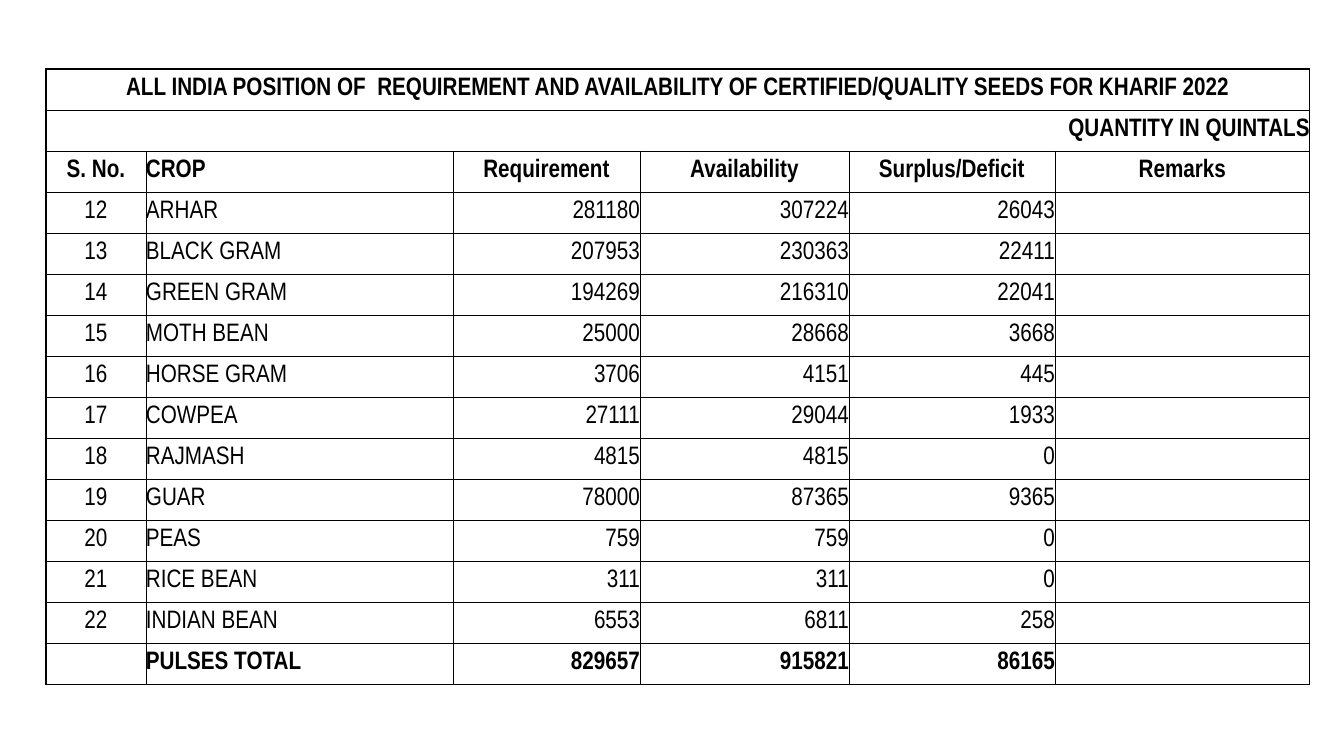
"""Build a one-slide table of seed requirement and availability for pulses."""
import pptx
import pptx.dml.color
import pptx.enum.text
import pptx.oxml
import pptx.oxml.ns
import pptx.util

ALIGN = pptx.enum.text.PP_ALIGN
LEFT, CENTER, RIGHT = ALIGN.LEFT, ALIGN.CENTER, ALIGN.RIGHT

TITLE = "ALL INDIA POSITION OF  REQUIREMENT AND AVAILABILITY OF CERTIFIED/QUALITY SEEDS FOR KHARIF 2022"
UNIT = "QUANTITY IN QUINTALS"
HEADINGS = ["S. No.", "CROP", "Requirement", "Availability", "Surplus/Deficit", "Remarks"]
CROPS = [
    ("ARHAR", 281180, 307224, 26043),
    ("BLACK GRAM", 207953, 230363, 22411),
    ("GREEN GRAM", 194269, 216310, 22041),
    ("MOTH BEAN", 25000, 28668, 3668),
    ("HORSE GRAM", 3706, 4151, 445),
    ("COWPEA", 27111, 29044, 1933),
    ("RAJMASH", 4815, 4815, 0),
    ("GUAR", 78000, 87365, 9365),
    ("PEAS", 759, 759, 0),
    ("RICE BEAN", 311, 311, 0),
    ("INDIAN BEAN", 6553, 6811, 258),
]
FIRST_NUMBER = 12
TOTAL = ["", "PULSES TOTAL", 829657, 915821, 86165, ""]
COLUMN_WIDTHS = [100, 307, 187, 209, 206, 255]
ROW_HEIGHT = 41
HEADING_ALIGNS = [CENTER, LEFT, CENTER, CENTER, CENTER, CENTER]
VALUE_ALIGNS = [CENTER, LEFT, RIGHT, RIGHT, RIGHT, LEFT]


def px(n):
    return pptx.util.Emu(round(n * 914400 / 100.8))


def rgb(value):
    return pptx.dml.color.RGBColor.from_string(value)


class Deck:
    """Hold the text style and the current slide."""

    font, size, ink, paper = "Arial Narrow", 18, "000000", "FFFFFF"

    def __init__(self, width, height):
        self.prs = pptx.Presentation()
        self.prs.slide_width, self.prs.slide_height = px(width), px(height)
        self.s = self.prs.slides.add_slide(self.prs.slide_layouts[6])

    def table(self, x, y, widths, row_height, rows):
        frame = self.s.shapes.add_table(
            rows, len(widths), px(x), px(y), px(sum(widths)), px(row_height * rows))
        table = frame.table
        table.first_row = table.horz_banding = False
        for column, width in zip(table.columns, widths):
            column.width = px(width)
        for row in table.rows:
            row.height = px(row_height)
        for cell in table.iter_cells():
            cell.margin_left = cell.margin_right = 0
            cell.margin_top = cell.margin_bottom = 0
            cell.vertical_anchor = pptx.enum.text.MSO_ANCHOR.MIDDLE
            cell.fill.background()
        return table

    def text(self, cell, text, align, bold=False):
        p = cell.text_frame.paragraphs[0]
        p.alignment = align
        if text == "":
            return
        r = p.add_run()
        r.text = str(text)
        r.font.name, r.font.size = self.font, pptx.util.Pt(self.size)
        r.font.bold = bold
        r.font.color.rgb = rgb(self.ink)

    def borders(self, cell, left, right, top, bottom):
        tcPr = cell._tc.get_or_add_tcPr()
        edges = {"lnL": left, "lnR": right, "lnT": top, "lnB": bottom}
        for i, (tag, points) in enumerate(edges.items()):
            tcPr.insert(i, pptx.oxml.parse_xml(
                f'<a:{tag} {pptx.oxml.ns.nsdecls("a")} w="{pptx.util.Pt(points)}">'
                f'<a:solidFill><a:srgbClr val="{self.ink}"/></a:solidFill></a:{tag}>'))


def main():
    deck = Deck(1344, 756)
    body = [[number, *crop, ""] for number, crop in enumerate(CROPS, FIRST_NUMBER)]
    grid = [HEADINGS, *body, TOTAL]
    banners = [(TITLE, CENTER), (UNIT, RIGHT)]
    last = len(COLUMN_WIDTHS) - 1
    table = deck.table(46, 69, COLUMN_WIDTHS, ROW_HEIGHT, len(banners) + len(grid))

    for row, (text, align) in enumerate(banners):
        cell = table.cell(row, 0)
        cell.merge(table.cell(row, last))
        deck.text(cell, text, align, bold=True)

    for row, values in enumerate(grid, len(banners)):
        aligns = HEADING_ALIGNS if values is HEADINGS else VALUE_ALIGNS
        bold = values is HEADINGS or values is TOTAL
        for column, (value, align) in enumerate(zip(values, aligns)):
            deck.text(table.cell(row, column), value, align, bold)
        if values is not HEADINGS:
            crop_fill = table.cell(row, 1).fill
            crop_fill.solid()
            crop_fill.fore_color.rgb = rgb(deck.paper)

    for row in range(len(table.rows)):
        for column in range(len(table.columns)):
            cell = table.cell(row, column)
            deck.borders(
                cell,
                left=1 if column == 0 else 0.5,
                right=1 if column == last or cell.is_merge_origin else 0.5,
                top=1 if row == 0 else 0.5,
                bottom=0.5)

    deck.prs.save("out.pptx")


if __name__ == "__main__":
    main()
